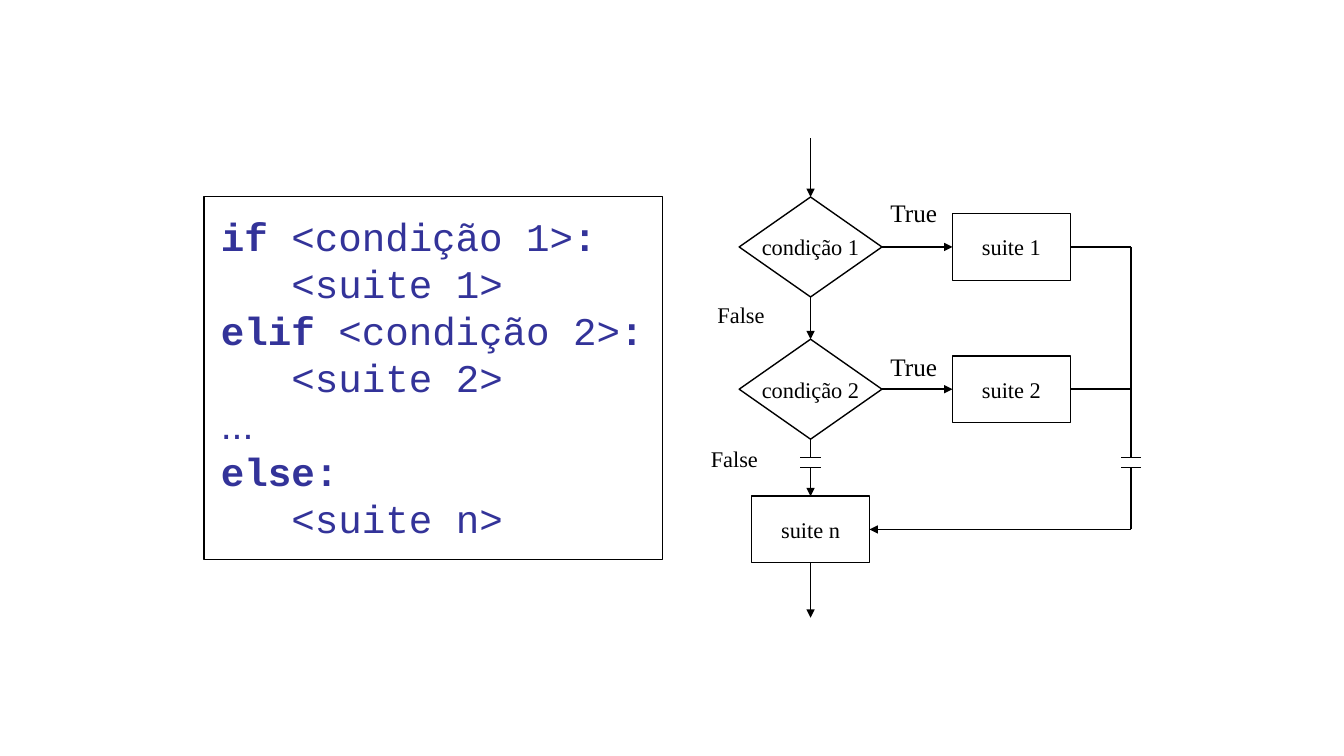
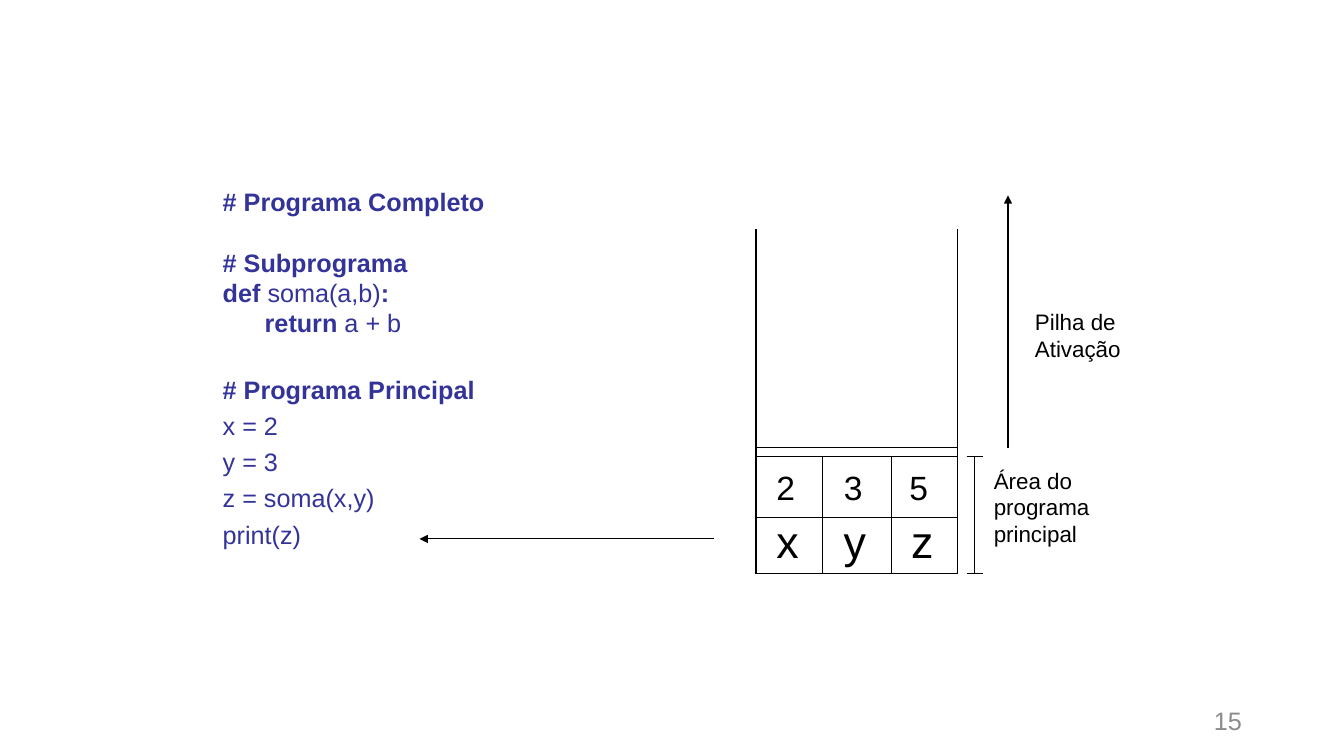
"""Builds two slides: a chained conditional with its flowchart, and a call stack."""
from lxml import etree
from pptx import Presentation
from pptx import util as u
from pptx.dml import color
from pptx.enum import shapes, text
from pptx.oxml import ns

Pt = u.Pt
COLOURS = {"ink": "000000", "code": "333399", "muted": "8C8C8C"}
SERIF, SANS, MONO = "Times New Roman", "Arial", "Courier New"
LINE_HEIGHT = 1.2
CENTER, RIGHT = text.PP_ALIGN.CENTER, text.PP_ALIGN.RIGHT
MIDDLE = text.MSO_ANCHOR.MIDDLE


def rgb(name):
    return color.RGBColor.from_string(COLOURS[name])


def assign(target, **values):
    for name, value in values.items():
        setattr(target, name, value)


def line(page, start, end, width=1, arrow=False):
    points = [Pt(value) for value in (*start, *end)]
    connector = page.shapes.add_connector(shapes.MSO_CONNECTOR.STRAIGHT, *points)
    connector.line.width = Pt(width)
    connector.line.color.rgb = rgb("ink")
    properties = connector._element.spPr
    if arrow:
        etree.SubElement(properties.get_or_add_ln(), ns.qn("a:tailEnd"), type="triangle")
    etree.SubElement(properties, ns.qn("a:effectLst"))


def write(box, rows, size, font, ink="ink", align=None, anchor=None,
          margins=(7.2, 3.6), wrap=True):
    """Fills a box with rows: plain strings, or (runs, format) pairs."""
    frame = box.text_frame
    across, down = (Pt(margin) for margin in margins)
    assign(frame, word_wrap=wrap, margin_left=across, margin_right=across,
           margin_top=down, margin_bottom=down,
           vertical_anchor=anchor or text.MSO_ANCHOR.TOP)
    for index, row in enumerate(rows):
        runs, style = ([(row, False)], {}) if isinstance(row, str) else row
        para = frame.add_paragraph() if index else frame.paragraphs[0]
        spacing = size * LINE_HEIGHT * style.get("spacing", 1)
        assign(para, alignment=align or text.PP_ALIGN.LEFT,
               line_spacing=Pt(round(spacing, 2)),
               space_before=Pt(style.get("before", 0)))
        if "indent" in style:
            properties = para._p.get_or_add_pPr()
            properties.set("marL", str(Pt(style["indent"])))
            properties.set("indent", "0")
        for words, bold in runs:
            span = para.add_run()
            span.text = words
            assign(span.font, name=style.get("font", font), size=Pt(size), bold=bold)
            span.font.color.rgb = rgb(ink)


def label(page, place, rows, size, font, **style):
    box = page.shapes.add_textbox(*map(Pt, place))
    write(box, rows, size, font, **style)


def outline(page, kind, place, rows, size, font, **style):
    box = page.shapes.add_shape(kind, *map(Pt, place))
    box.shadow.inherit = False
    box.fill.background()
    box.line.width = Pt(1)
    box.line.color.rgb = rgb("ink")
    write(box, rows, size, font, **style)


def node(page, kind, center, size, words):
    (x, y), (width, height) = center, size
    outline(page, kind, (x - width / 2, y - height / 2, width, height), [words], 16,
            SERIF, align=CENTER, anchor=MIDDLE, margins=(0, 0), wrap=False)


def conditional_code(page):
    rows = [
        ([("if ", True), ("<condição 1>", False), (":", True)], {}),
        ([("<suite 1>", False)], {"indent": 50.4}),
        ([("elif ", True), ("<condição 2>", False), (":", True)], {}),
        ([("<suite 2>", False)], {"indent": 50.4}),
        ([("...", False)], {"font": SANS}),
        ([("else:", True)], {}),
        ([("<suite n>", False)], {"indent": 50.4}),
    ]
    outline(page, shapes.MSO_SHAPE.RECTANGLE, (145.6, 140.6, 327.6, 259.2), rows, 28,
            MONO, ink="code", margins=(12.2, 10.8))


def flowchart(page):
    axis, rail, suite_x = 579, 808, 722.5
    first, second, last = 176.4, 278, 378.2
    gap_top, gap_bottom, tick = 327, 334, 7.2
    decision, process = (102, 71.4), (84.2, 47.6)
    half_width, half_height = decision[0] / 2, decision[1] / 2
    half_suite, half_box = process[0] / 2, process[1] / 2

    for number, y in enumerate((first, second), 1):
        node(page, shapes.MSO_SHAPE.FLOWCHART_DECISION, (axis, y), decision,
             f"condição {number}")
        node(page, shapes.MSO_SHAPE.FLOWCHART_PROCESS, (suite_x, y), process,
             f"suite {number}")
        line(page, (axis + half_width, y), (suite_x - half_suite, y), arrow=True)
        line(page, (suite_x + half_suite, y), (rail, y))
    node(page, shapes.MSO_SHAPE.FLOWCHART_PROCESS, (axis, last), process, "suite n")

    for start, end in ((98.6, first - half_height),
                       (first + half_height, second - half_height),
                       (gap_bottom, last - half_box),
                       (last + half_box, 441.2)):
        line(page, (axis, start), (axis, end), arrow=True)
    line(page, (axis, second + half_height), (axis, gap_top))
    line(page, (rail, first), (rail, gap_top))
    line(page, (rail, gap_bottom), (rail, last))
    line(page, (rail, last), (axis + half_suite, last), arrow=True)
    for x in (axis, rail):
        for y in (gap_top, gap_bottom):
            line(page, (x - tick, y), (x + tick, y))

    for y in (137.4, 247.6):
        label(page, (629, y, 53, 29), ["True"], 18, SERIF)
    for x, y in ((505.4, 211.6), (500.6, 314.6)):
        label(page, (x, y, 54, 27), ["False"], 16, SERIF)


def program_code(page):
    rows = [
        ([("# Programa Completo", True)], {}),
        ([("# Subprograma", True)], {"before": 21.6}),
        ([("def", True), (" soma(a,b)", False), (":", True)], {}),
        ([("return", True), (" a + b", False)], {"indent": 30}),
        ([("# Programa Principal", True)], {"before": 21.6, "spacing": 1.2}),
    ]
    rows += [([(words, False)], {"spacing": 1.2})
             for words in ("x = 2", "y = 3", "z = soma(x,y)", "print(z)")]
    label(page, (152, 129.6, 371.6, 268.6), rows, 18, SANS, ink="code")
    line(page, (510, 385), (299.6, 385), 0.75, arrow=True)


def call_stack(page):
    left, right, wall_top = 540, 684, 163.6
    divider, top, middle, bottom = 319.8, 325.8, 369.4, 409.8
    bracket, arrow_x = 696.2, 720
    for x, start in ((left, wall_top), (587.2, top), (636.6, top), (right, wall_top)):
        line(page, (x, start), (x, bottom), 0.75)
    for y in (divider, top, middle, bottom):
        line(page, (left, y), (right, y), 0.75)
    line(page, (bracket, top), (bracket, bottom), 0.75)
    for y in (top, bottom):
        line(page, (bracket - 5.8, y), (bracket + 5.8, y), 0.75)
    line(page, (arrow_x, divider), (arrow_x, 139.6), 0.75, arrow=True)

    for index, (name, value, x) in enumerate(
            (("x", "2", 544.4), ("y", "3", 592.6), ("z", "5", 639.4))):
        label(page, (x, 329.8, 33.8, 36), [value], 24, SANS, align=CENTER)
        label(page, (547.4 + index * 48.2, 363.6, 40, 46), [name], 32, SANS)
    label(page, (702.8, 329.8, 100, 65), ["Área do", "programa", "principal"], 16, SANS)
    label(page, (732.2, 216.8, 90, 46), ["Pilha de", "Ativação"], 16, SANS)


def page_number(page, number):
    label(page, (678.2, 500.4, 216, 28.8), [number], 18, SANS, ink="muted",
          align=RIGHT, anchor=MIDDLE)


def main():
    deck = Presentation()
    assign(deck, slide_width=Pt(960), slide_height=Pt(540))
    blank = deck.slide_layouts[6]
    page = deck.slides.add_slide(blank)
    conditional_code(page)
    flowchart(page)
    page = deck.slides.add_slide(blank)
    program_code(page)
    call_stack(page)
    page_number(page, "15")
    deck.save("out.pptx")


if __name__ == "__main__":
    main()
